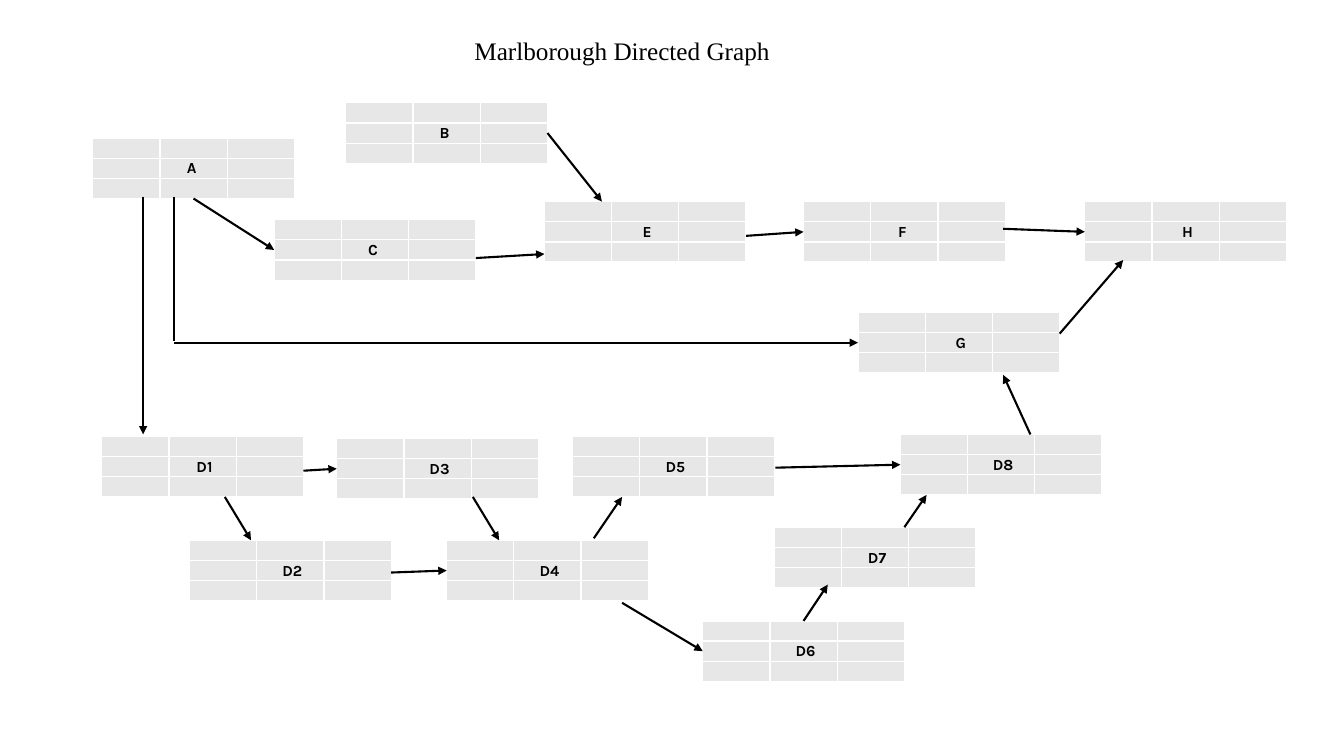
from lxml.etree import SubElement
from pptx import Presentation
from pptx.dml.color import RGBColor
from pptx.enum.shapes import MSO_CONNECTOR
from pptx.enum.text import MSO_ANCHOR, PP_ALIGN
from pptx.oxml.ns import qn
from pptx.util import Pt

PX = 9144
COLORS = {"ink": "000000", "cell": "E7E7E7", "border": "FFFFFF"}
NODE_W, NODE_H = 200, 60

NODES = {
    "A": ("A ", 92, 137),
    "B": ("B ", 343, 102),
    "C": ("C ", 272, 218),
    "E": (" E", 540, 200),
    "F": ("F ", 797, 200),
    "G": (" G", 851, 310),
    "H": (" H", 1076, 200),
    "D1": (" D1", 101, 433),
    "D2": (" D2", 188, 536),
    "D3": (" D3", 334, 435),
    "D4": (" D4", 443, 536),
    "D5": (" D5", 568, 433),
    "D6": (" D6", 697, 616),
    "D7": (" D7", 768, 523),
    "D8": (" D8", 893, 431),
}

ARROWS = [
    ("A", 100, 60, "C", 0, 30),
    ("B", 200, 30, "E", 57, 0),
    ("C", 200, 38, "E", 0, 52),
    ("E", 200, 34, "F", 0, 30),
    ("F", 198, 27, "H", 0, 30),
    ("G", 200, 21, "H", 38, 58),
    ("A", 50, 58, "D1", 41, -2),
    ("A", 81, 203, "G", 0, 30),
    ("D1", 200, 34, "D3", 0, 30),
    ("D1", 122, 60, "D2", 61, 0),
    ("D2", 200, 32, "D4", 0, 30),
    ("D3", 135, 58, "D4", 52, 0),
    ("D4", 146, -2, "D5", 49, 60),
    ("D4", 174, 62, "D6", 0, 30),
    ("D5", 201, 31, "D8", 0, 30),
    ("D6", 100, 0, "D7", 53, 57),
    ("D7", 129, 0, "D8", 26, 60),
    ("D8", 129, 0, "G", 144, 62),
]


def rgb(name):
    """Return the named colour."""
    return RGBColor.from_string(COLORS[name])


def set_font(p, face, size, bold=False):
    """Set the paragraph's font."""
    p.alignment = PP_ALIGN.CENTER
    p.font.name, p.font.size, p.font.bold = face, Pt(size), bold
    p.font.color.rgb = rgb("ink")


def add_title(slide, x, y, w, h):
    """Write the title in the given box."""
    sp = slide.shapes.add_textbox(x * PX, y * PX, w * PX, h * PX)
    tf = sp.text_frame
    tf.word_wrap = True
    tf.text = "Marlborough Directed Graph"
    set_font(tf.paragraphs[0], "Times New Roman", 18)


def style_cell(cell):
    """Give a cell its borders, fill, margins and small empty line."""
    tcPr = cell._tc.get_or_add_tcPr()
    for side in ("lnL", "lnR", "lnT", "lnB"):
        ln = SubElement(tcPr, qn(f"a:{side}"), w=str(Pt(1)))
        fill = SubElement(ln, qn("a:solidFill"))
        SubElement(fill, qn("a:srgbClr"), val=COLORS["border"])
    cell.fill.solid()
    cell.fill.fore_color.rgb = rgb("cell")
    cell.margin_left = cell.margin_right = cell.margin_top = PX
    cell.margin_bottom = 0
    cell.vertical_anchor = MSO_ANCHOR.MIDDLE
    SubElement(cell.text_frame.paragraphs[0]._p, qn("a:endParaRPr"), sz="800")


def add_node(slide, label, x, y, w, h):
    """Draw a three by three node with its label in the middle cell."""
    frame = slide.shapes.add_table(3, 3, x * PX, y * PX, w * PX, h * PX)
    table = frame.table
    table.first_row = table.horz_banding = False
    for cell in table.iter_cells():
        style_cell(cell)
    p = table.cell(1, 1).text_frame.paragraphs[0]
    p.add_run().text = label
    set_font(p, "Karla", 11, True)


def add_link(slide, start, dx1, dy1, end, dx2, dy2, arrow=True):
    """Draw a line between points offset from the corners of two nodes."""
    _, x1, y1 = NODES[start]
    _, x2, y2 = NODES[end]
    points = (x1 + dx1, y1 + dy1, x2 + dx2, y2 + dy2)
    line = slide.shapes.add_connector(
        MSO_CONNECTOR.STRAIGHT, *(v * PX for v in points))
    line.line.color.rgb = rgb("ink")
    line.line.width = Pt(1.5)
    if arrow:
        SubElement(line.line._get_or_add_ln(), qn("a:tailEnd"), type="triangle")
    SubElement(line._element.spPr, qn("a:effectLst"))


def add_graph(slide):
    """Draw all nodes and the links between them."""
    for label, x, y in NODES.values():
        add_node(slide, label, x, y, NODE_W, NODE_H)
    for link in ARROWS:
        add_link(slide, *link)
    add_link(slide, "A", 81, 58, "A", 81, 201, arrow=False)


def main():
    """Build and save the slide."""
    prs = Presentation()
    prs.slide_width, prs.slide_height = 1333 * PX, 750 * PX
    slide = prs.slides.add_slide(prs.slide_layouts[6])
    add_title(slide, 427, 30, 380, 40)
    add_graph(slide)
    prs.save("out.pptx")


if __name__ == "__main__":
    main()
